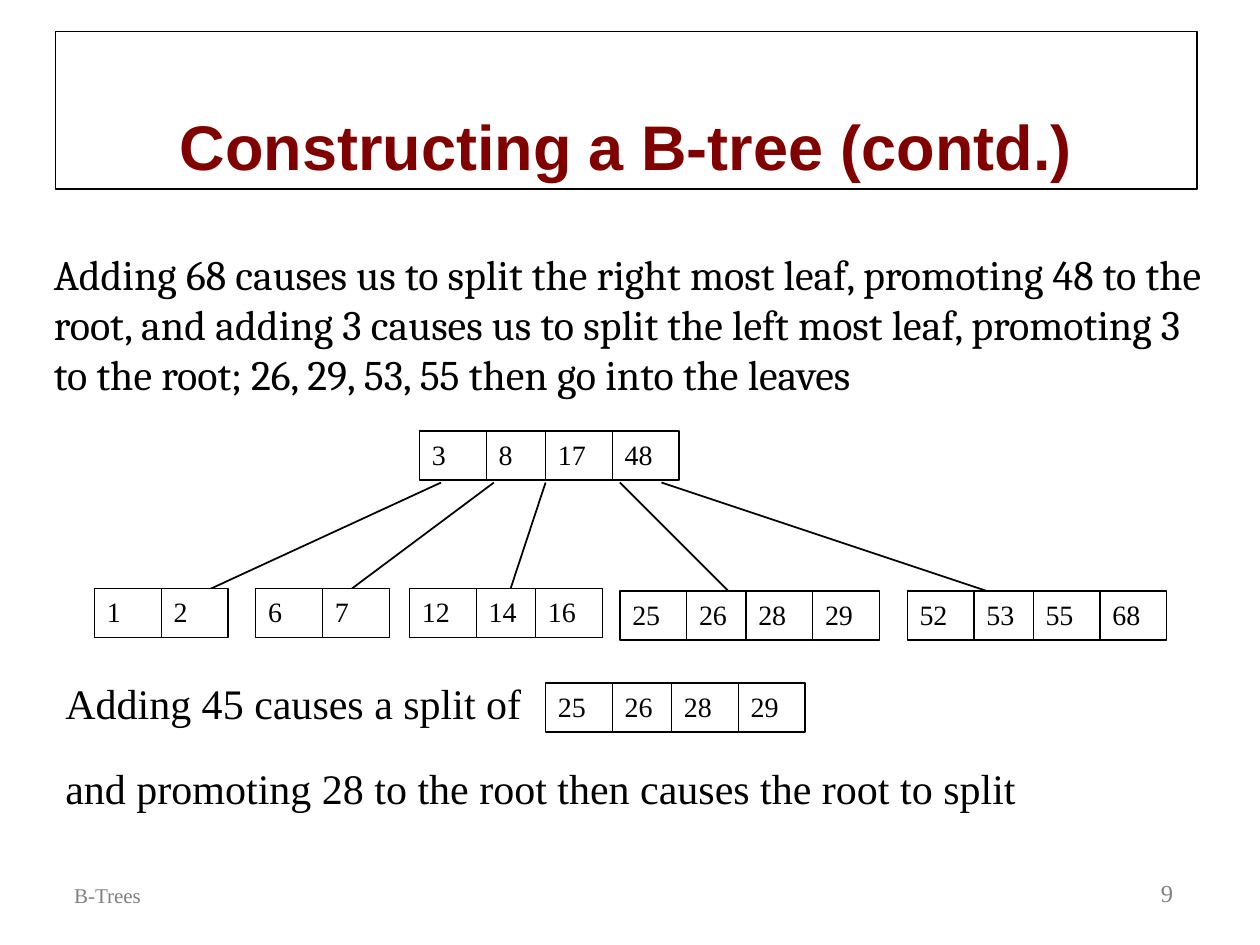
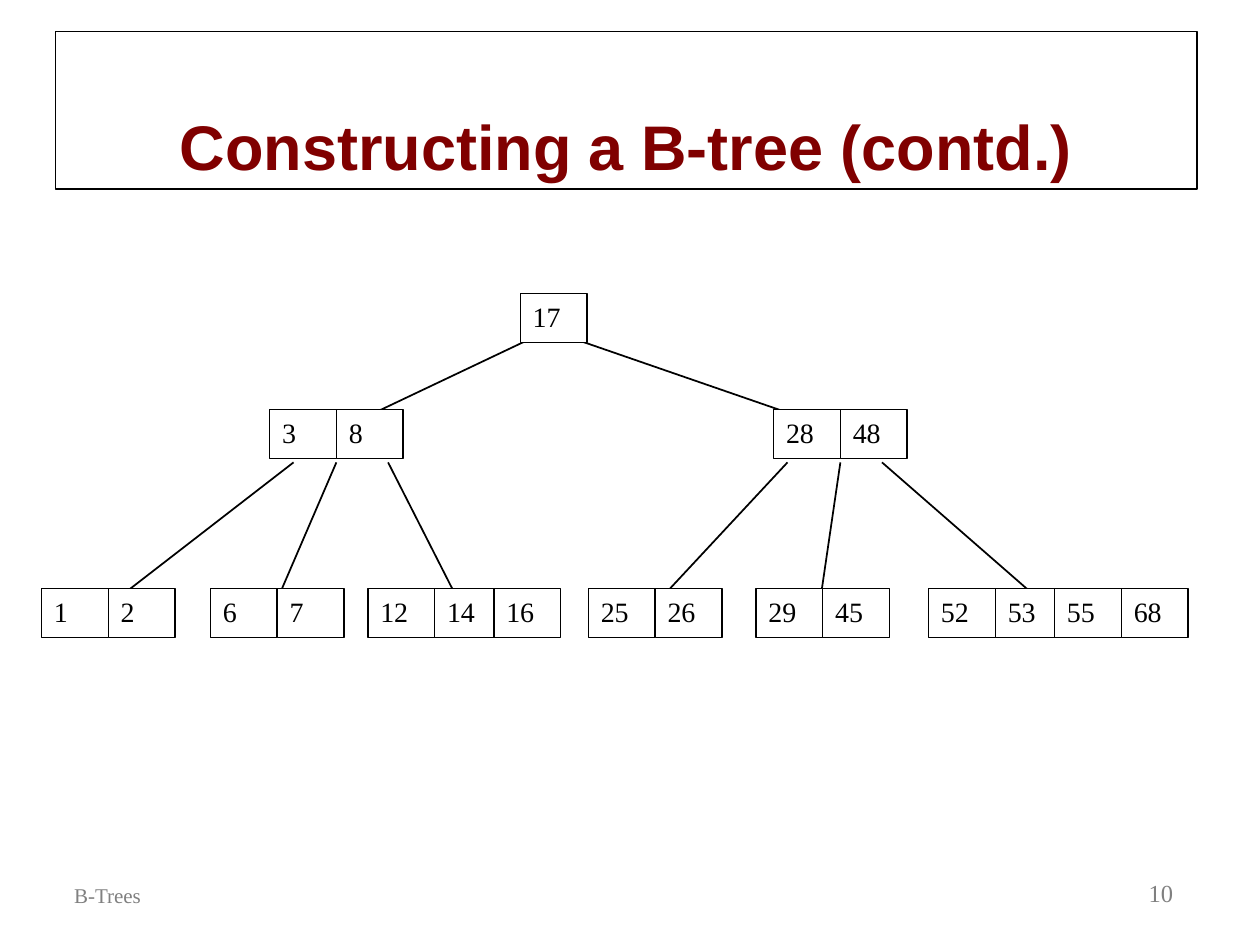
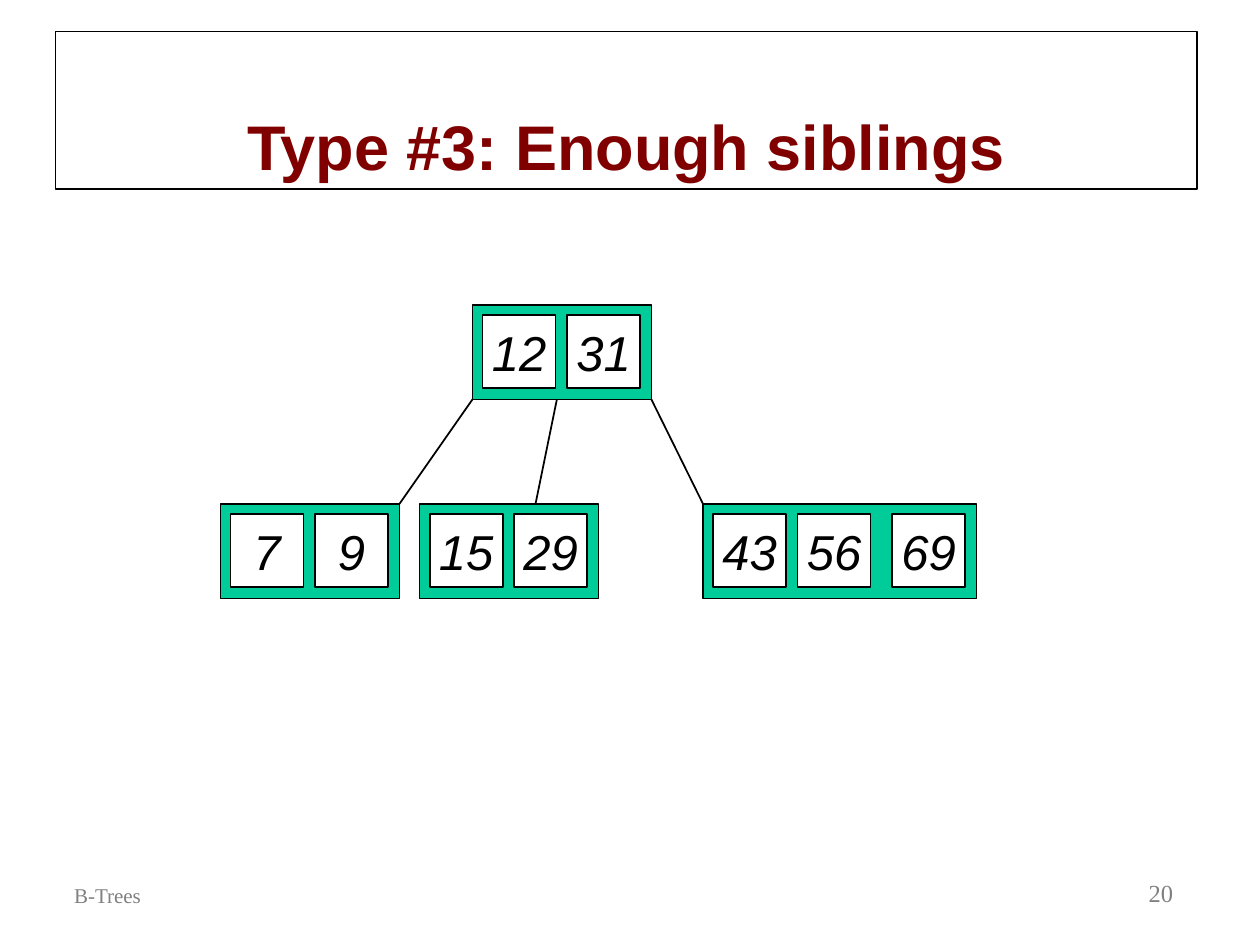
from dataclasses import dataclass

from lxml import etree
from pptx import Presentation
from pptx import util as u
from pptx.dml.color import RGBColor
from pptx.enum import shapes, text
from pptx.oxml import ns


@dataclass(frozen=True)
class Theme:
    ink: str = "000000"
    paper: str = "FFFFFF"
    heading: str = "800000"
    muted: str = "808080"
    node: str = "00CC99"
    sans: str = "Arial"
    serif: str = "Times New Roman"
    prose: str = "Cambria"
    title_size: int = 36
    key_size: int = 28
    body_size: int = 24
    cell_size: int = 16
    number_size: int = 14
    footer_size: int = 12
    thin: float = 0.75
    line: float = 1


THEME = Theme()
ALIGN = text.PP_ALIGN
ANCHOR = text.MSO_ANCHOR

# Left edges of the cells in a plain node
CELL_OFFSETS = (0, 0.53, 1, 1.53)
CELL_WIDTH, CELL_HEIGHT = 0.53, 0.39
# Left edges of the keys in a framed node, and the frame width by key count
KEY_OFFSETS = (0.08, 0.75, 1.5)
KEY_SIDE, FRAME_HEIGHT = 0.58, 0.75
FRAME_WIDTHS = {2: 1.42, 3: 2.17}


def write(shape, words, size, font=THEME.serif, color=THEME.ink, bold=False,
          italic=False, align=ALIGN.LEFT, anchor=ANCHOR.TOP, wrap=True):
    """Put one formatted paragraph into a shape."""
    frame = shape.text_frame
    frame.auto_size = text.MSO_AUTO_SIZE.NONE
    frame.word_wrap = wrap
    frame.vertical_anchor = anchor
    para = frame.paragraphs[0]
    para.alignment = align
    span = para.add_run()
    span.text = words
    span.font.name = font
    span.font.size = u.Pt(size)
    span.font.bold = bold
    span.font.italic = italic
    span.font.color.rgb = RGBColor.from_string(color)


def outline(shape, weight):
    shape.line.color.rgb = RGBColor.from_string(THEME.ink)
    shape.line.width = u.Pt(weight)


class Board:
    """Holds the deck and the page being drawn."""

    def __init__(self):
        self.deck = Presentation()
        self.deck.slide_width = u.Inches(10)
        self.deck.slide_height = u.Inches(7.5)
        self.page = None

    def start(self, title, number):
        """Add a page with its title, footer and number."""
        self.page = self.deck.slides.add_slide(self.deck.slide_layouts[5])
        box = self.page.shapes.title
        box.left, box.top = u.Inches(0.44), u.Inches(0.25)
        box.width, box.height = u.Inches(9.06), u.Inches(1.25)
        outline(box, THEME.thin)
        write(box, title, THEME.title_size, font=THEME.sans, color=THEME.heading,
              bold=True, align=ALIGN.CENTER, anchor=ANCHOR.BOTTOM)
        self.label("B-Trees", 0.49, 6.75, 3, 0.5, size=THEME.footer_size,
                   color=THEME.muted, anchor=ANCHOR.BOTTOM)
        self.label(str(number), 7.33, 6.75, 2.08, 0.5, size=THEME.number_size,
                   color=THEME.muted, align=ALIGN.RIGHT, anchor=ANCHOR.BOTTOM)

    def label(self, words, left, top, width, height, size=THEME.body_size, **style):
        box = self.page.shapes.add_textbox(
            u.Inches(left), u.Inches(top), u.Inches(width), u.Inches(height))
        write(box, words, size, **style)

    def rect(self, left, top, width, height, fill=THEME.paper, weight=THEME.line):
        box = self.page.shapes.add_shape(
            shapes.MSO_SHAPE.RECTANGLE,
            u.Inches(left), u.Inches(top), u.Inches(width), u.Inches(height))
        box.shadow.inherit = False
        box.fill.solid()
        box.fill.fore_color.rgb = RGBColor.from_string(fill)
        outline(box, weight)
        return box

    def edges(self, start_y, end_y, pairs):
        """Draw tree edges between two heights; pairs give start and end x."""
        for start_x, end_x in pairs:
            edge = self.page.shapes.add_connector(
                shapes.MSO_CONNECTOR.STRAIGHT,
                u.Inches(start_x), u.Inches(start_y), u.Inches(end_x), u.Inches(end_y))
            outline(edge, THEME.line)
            etree.SubElement(edge._element.spPr, ns.qn("a:effectLst"))

    def node(self, left, top, *keys):
        """Draw a plain node as a row of touching cells."""
        for offset, key in zip(CELL_OFFSETS, keys):
            cell = self.rect(left + offset, top, CELL_WIDTH, CELL_HEIGHT,
                             weight=THEME.thin)
            write(cell, str(key), THEME.cell_size)

    def framed_node(self, left, top, *keys):
        """Draw a coloured node with a square for each key."""
        self.rect(left, top, FRAME_WIDTHS[len(keys)], FRAME_HEIGHT, fill=THEME.node)
        for offset, key in zip(KEY_OFFSETS, keys):
            square = self.rect(left + offset, top + 0.08, KEY_SIDE, KEY_SIDE)
            write(square, str(key), THEME.key_size, font=THEME.sans, italic=True,
                  align=ALIGN.CENTER, anchor=ANCHOR.MIDDLE, wrap=False)


board = Board()

# Slide 1: leaves split, keys promoted to the root
board.start("Constructing a B-tree (contd.)", 9)
board.edges(3.83, 4.83, [(3.5, 1.33), (3.92, 2.58), (4.33, 4), (4.92, 5.92),
                         (5.25, 8.25)])
board.label("Adding 68 causes us to split the right most leaf, promoting 48 to the "
            "root, and adding 3 causes us to split the left most leaf, promoting 3 "
            "to the root; 26, 29, 53, 55 then go into the leaves",
            0.33, 1.92, 9.33, 1.3, font=THEME.prose)
board.node(3.33, 3.42, 3, 8, 17, 48)
board.node(0.75, 4.67, 1, 2)
board.node(2.03, 4.67, 6, 7)
board.node(3.25, 4.67, 12, 14, 16)
board.node(4.92, 4.69, 25, 26, 28, 29)
board.node(7.2, 4.69, 52, 53, 55, 68)
board.label("Adding 45 causes a split of", 0.42, 5.33, 4, 0.5)
board.node(4.33, 5.42, 25, 26, 28, 29)
board.label("and promoting 28 to the root then causes the root to split",
            0.42, 6, 9.08, 0.5)

# Slide 2: the tree after the root has split
board.start("Constructing a B-tree (contd.)", 10)
board.edges(2.67, 3.42, [(4.25, 2.67), (4.5, 6.67)])
board.edges(3.67, 4.83, [(2.33, 0.83), (2.67, 2.17), (3.08, 3.67),
                         (6.25, 5.17), (6.67, 6.5), (7, 8.33)])
board.node(4.13, 2.33, 17)
board.node(2.14, 3.25, 3, 8)
board.node(6.14, 3.25, 28, 48)
for leaf_left, leaf_keys in [(0.33, (1, 2)), (1.67, (6, 7)), (2.92, (12, 14, 16)),
                             (4.67, (25, 26)), (6, (29, 45)),
                             (7.37, (52, 53, 55, 68))]:
    board.node(leaf_left, 4.67, *leaf_keys)

# Slide 3: deletion with enough siblings
board.start("Type #3: Enough siblings", 20)
board.framed_node(3.75, 2.42, 12, 31)
board.framed_node(1.75, 4, 7, 9)
board.framed_node(3.33, 4, 15, 29)
board.framed_node(5.58, 4, 43, 56, 69)
board.edges(3.17, 4, [(3.75, 3.17), (4.42, 4.25), (5.17, 5.58)])

board.deck.save("out.pptx")
